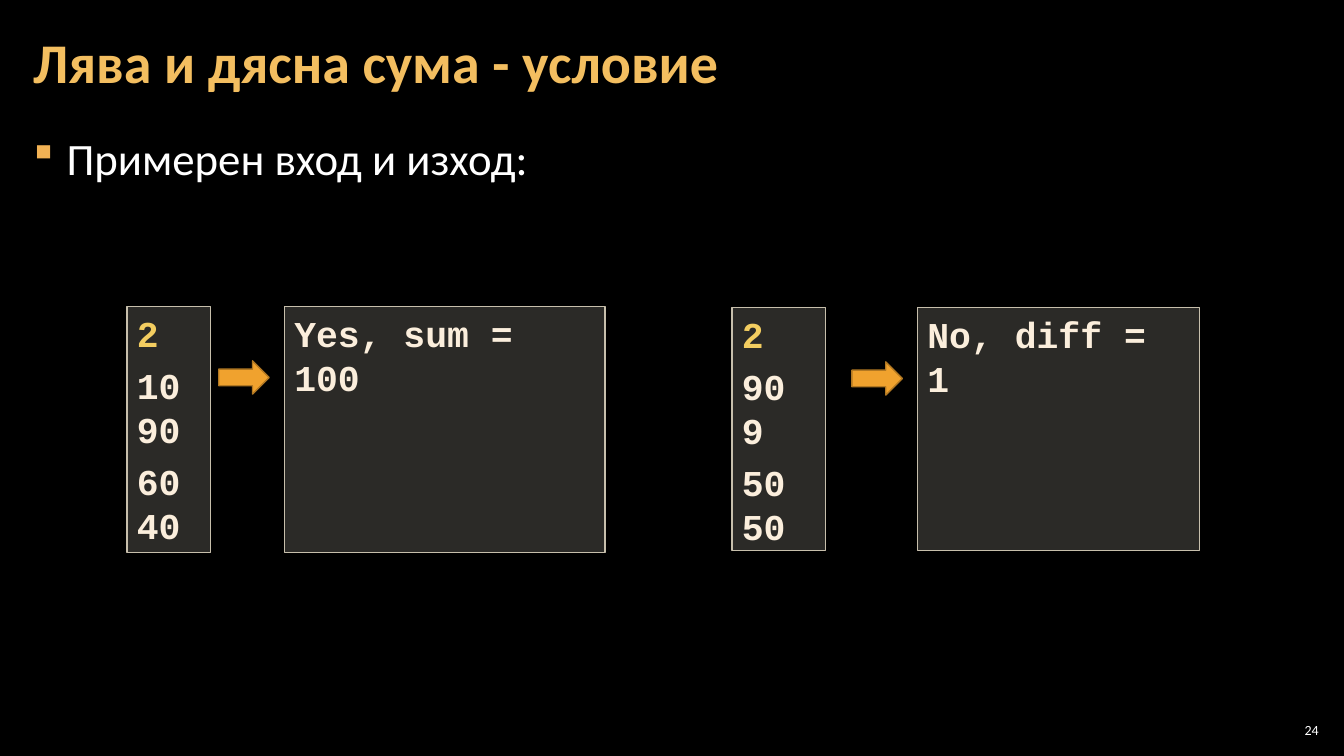
from dataclasses import dataclass

from lxml import etree
from pptx import Presentation
from pptx import util as u
from pptx.dml import color
from pptx.enum import shapes, text
from pptx.oxml import ns

COLORS = {
    "background": "000000", "title": "F3BE60", "bullet": "F2B254", "white": "FFFFFF",
    "panel": "D9D5C7", "border": "C7BFAC", "count": "F3CD60", "code": "FBEEDC",
    "arrow": "F0A22E", "arrow_border": "B27822",
}


@dataclass(frozen=True)
class Box:
    left: float
    top: float
    width: float
    height: float

    def lengths(self) -> list:
        return [u.Inches(n) for n in (self.left, self.top, self.width, self.height)]


@dataclass(frozen=True)
class Line:
    words: str
    color: str
    before: int = 0


@dataclass(frozen=True)
class Example:
    numbers: Box
    result: Box
    arrow: Box
    values: tuple
    answer: str


@dataclass(frozen=True)
class Label:
    box: Box
    words: str
    color: str
    font: dict
    frame: dict
    paragraph: dict


MIDDLE = {"vertical_anchor": text.MSO_ANCHOR.MIDDLE}
CODE_FONT = {"name": "Courier New", "size": u.Pt(26), "bold": True}

TITLE = Label(Box(0.21, 0.04, 10.47, 1.21), "Лява и дясна сума - условие", "title",
              {"size": u.Pt(40), "bold": True}, MIDDLE, {"line_spacing": 0.9})
BODY = Label(Box(0.21, 1.26, 12.91, 6.09), "Примерен вход и изход:", "white",
             {"size": u.Pt(32)}, {}, {"space_before": u.Pt(6), "space_after": u.Pt(6)})
NUMBER = Label(Box(12.65, 7.14, 0.47, 0.21), "24", "white", {"size": u.Pt(10)},
               {**MIDDLE, "margin_left": u.Inches(0.04), "margin_right": u.Inches(0.04)},
               {"alignment": text.PP_ALIGN.RIGHT})

EXAMPLES = (
    Example(Box(1.26, 3.04, 0.83, 2.44), Box(2.82, 3.04, 3.18, 2.44),
            Box(2.17, 3.58, 0.5, 0.33), ("2", "10", "90", "60", "40"), "Yes, sum = 100"),
    Example(Box(7.26, 3.05, 0.93, 2.41), Box(9.1, 3.05, 2.8, 2.41),
            Box(8.45, 3.59, 0.5, 0.33), ("2", "90", "9", "50", "50"), "No, diff = 1"),
)


def rgb(name: str) -> color.RGBColor:
    return color.RGBColor.from_string(COLORS[name])


def apply(target, values: dict) -> None:
    for name, value in values.items():
        setattr(target, name, value)


def write(paragraph, words: str, color_name: str, font: dict) -> None:
    run = paragraph.add_run()
    run.text = words
    apply(run.font, font)
    run.font.color.rgb = rgb(color_name)


def add_label(slide, label: Label):
    frame = slide.shapes.add_textbox(*label.box.lengths()).text_frame
    apply(frame, {"word_wrap": True, "margin_left": u.Inches(0.12),
                  "margin_right": u.Inches(0.12), "margin_top": u.Inches(0.04),
                  "margin_bottom": u.Inches(0.04), **label.frame})
    paragraph = frame.paragraphs[0]
    apply(paragraph, label.paragraph)
    write(paragraph, label.words, label.color, {"name": "Calibri", **label.font})
    return paragraph


def add_bullet(paragraph) -> None:
    properties = paragraph._p.get_or_add_pPr()
    properties.set("marL", str(u.Inches(0.33)))
    properties.set("indent", str(u.Inches(-0.33)))
    bullet_color = etree.SubElement(properties, ns.qn("a:buClr"))
    etree.SubElement(bullet_color, ns.qn("a:srgbClr"), val=COLORS["bullet"])
    etree.SubElement(properties, ns.qn("a:buFont"), typeface="Wingdings", charset="2")
    etree.SubElement(properties, ns.qn("a:buChar"), char="§")


def add_block(slide, kind: shapes.MSO_SHAPE, box: Box, fill: str, border: str):
    shape = slide.shapes.add_shape(kind, *box.lengths())
    shape.shadow.inherit = False
    shape.fill.solid()
    shape.fill.fore_color.rgb = rgb(fill)
    shape.line.color.rgb = rgb(border)
    shape.line.width = u.Pt(1)
    return shape


def add_panel(slide, box: Box, lines: list[Line]) -> None:
    shape = add_block(slide, shapes.MSO_SHAPE.RECTANGLE, box, "panel", "border")
    fill_color = shape._element.spPr.find(ns.qn("a:solidFill"))[0]
    etree.SubElement(fill_color, ns.qn("a:alpha"), val="20000")
    frame = shape.text_frame
    apply(frame, {"word_wrap": True, "vertical_anchor": text.MSO_ANCHOR.TOP})
    for index, line in enumerate(lines):
        paragraph = frame.add_paragraph() if index else frame.paragraphs[0]
        apply(paragraph, {"alignment": text.PP_ALIGN.LEFT, "space_before": u.Pt(line.before)})
        write(paragraph, line.words, line.color, CODE_FONT)


def add_example(slide, example: Example) -> None:
    count, *values = example.values
    lines = [Line(count, "count")]
    lines += [Line(value, "code", 0 if index % 2 else 6) for index, value in enumerate(values)]
    add_panel(slide, example.numbers, lines)
    add_panel(slide, example.result, [Line(example.answer, "code")])
    add_block(slide, shapes.MSO_SHAPE.RIGHT_ARROW, example.arrow, "arrow", "arrow_border")


def main() -> None:
    presentation = Presentation()
    apply(presentation, {"slide_width": u.Inches(13.33), "slide_height": u.Inches(7.5)})
    slide = presentation.slides.add_slide(presentation.slide_layouts[6])
    slide.background.fill.solid()
    slide.background.fill.fore_color.rgb = rgb("background")
    add_label(slide, NUMBER)
    add_bullet(add_label(slide, BODY))
    add_label(slide, TITLE)
    for example in EXAMPLES:
        add_example(slide, example)
    presentation.save("out.pptx")


if __name__ == "__main__":
    main()
